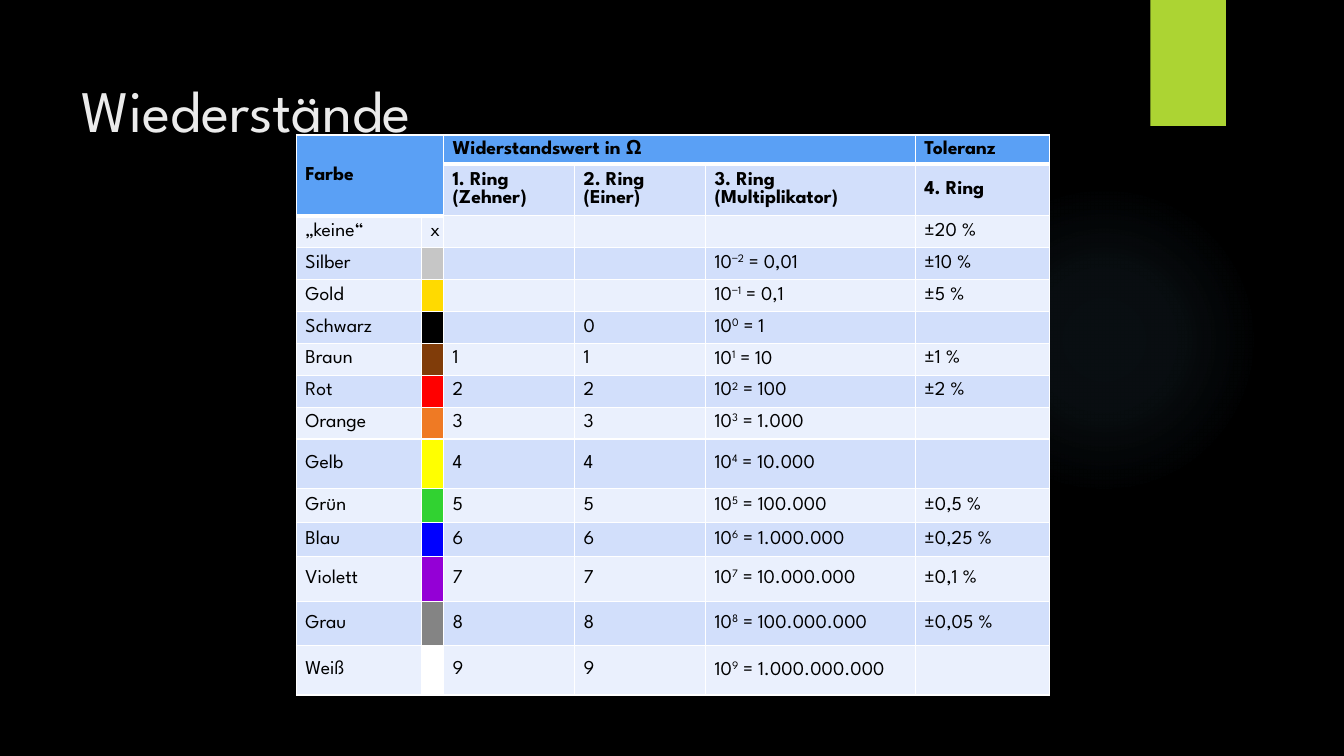
"""Build the slide with the colour code table for resistors."""
from lxml.etree import SubElement, fromstring
from pptx import Presentation
from pptx.dml.color import RGBColor
from pptx.enum.shapes import MSO_SHAPE
from pptx.enum.text import MSO_ANCHOR, PP_ALIGN
from pptx.oxml.ns import nsdecls, qn
from pptx.util import Inches, Pt

FONT = "League Spartan"
COLORS = {
    "background": "000000", "title": "EBEBEB", "accent": "ACD433",
    "glow": "7AC4F0", "text": "000000", "border": "FFFFFF",
    "header": "5AA0F5", "dark band": "D2DFFB", "light band": "EAF0FD",
    "Silber": "C6C6C6", "Gold": "FFDA00", "Schwarz": "000000",
    "Braun": "803C09", "Rot": "FF0000", "Orange": "EF7A24",
    "Gelb": "FFFF00", "Grün": "31D231", "Blau": "0000FF",
    "Violett": "9400D6", "Grau": "848484", "Weiß": "FFFFFF",
}
RINGS = [
    ("Silber", "10"), ("Gold", "5"), ("Schwarz", ""), ("Braun", "1"),
    ("Rot", "2"), ("Orange", ""), ("Gelb", ""), ("Grün", "0,5"),
    ("Blau", "0,25"), ("Violett", "0,1"), ("Grau", "0,05"), ("Weiß", ""),
]
COLUMN_WIDTHS = [1.24, 0.21, 1.3, 1.3, 2.08, 1.33]
ROW_HEIGHTS = [0.29, 0.51] + [0.29] * 7 + [0.49, 0.34, 0.34, 0.44, 0.44, 0.49]


def add_run(paragraph, text, size, color, bold=False):
    run = paragraph.add_run()
    run.text = text
    run.font.name = FONT
    run.font.size = Pt(size)
    run.font.bold = bold
    run.font.color.rgb = RGBColor.from_string(COLORS[color])
    return run


def fill_cell(cell, fill, parts, bold=False, edges=("lnL", "lnR", "lnB"), bottom=1):
    cell.margin_left = cell.margin_right = Inches(0.09)
    cell.margin_top = cell.margin_bottom = Inches(0.04)
    cell.vertical_anchor = MSO_ANCHOR.MIDDLE
    properties = cell._tc.get_or_add_tcPr()
    for edge in edges:
        width = Pt(bottom if edge == "lnB" else 1)
        properties.append(fromstring(
            f'<a:{edge} {nsdecls("a")} w="{width}"><a:solidFill>'
            f'<a:srgbClr val="{COLORS["border"]}"/></a:solidFill></a:{edge}>'))
    cell.fill.solid()
    cell.fill.fore_color.rgb = RGBColor.from_string(COLORS[fill])
    paragraph = cell.text_frame.paragraphs[0]
    for index, part in enumerate(parts):
        if part == "\n":
            paragraph.add_line_break()
            continue
        run = add_run(paragraph, part, 14, "text", bold)
        if len(parts) == 3 and index == 1:
            run._r.get_or_add_rPr().set("baseline", "30000")
    if not parts:
        SubElement(paragraph._p, qn("a:endParaRPr"), sz="1400")


prs = Presentation()
prs.slide_width, prs.slide_height = Inches(13.33), Inches(7.5)
slide = prs.slides.add_slide(prs.slide_layouts[5])
slide.background.fill.solid()
slide.background.fill.fore_color.rgb = RGBColor.from_string(COLORS["background"])

glow = slide.shapes.add_shape(
    MSO_SHAPE.OVAL, Inches(9.41), Inches(1.83), Inches(3.08), Inches(3.08))
glow.shadow.inherit = False
glow.line.fill.background()
stops = "".join(
    f'<a:gs pos="{position}000"><a:srgbClr val="{COLORS["glow"]}">'
    f'<a:alpha val="{alpha}000"/></a:srgbClr></a:gs>'
    for position, alpha in [(0, 7), (36, 6), (69, 0), (100, 0)])
glow._element.spPr.find(qn("a:prstGeom")).addnext(fromstring(
    f'<a:gradFill {nsdecls("a")} rotWithShape="1"><a:gsLst>{stops}</a:gsLst>'
    '<a:path path="circle"><a:fillToRect l="50000" t="50000" r="50000" b="50000"/>'
    '</a:path></a:gradFill>'))

accent = slide.shapes.add_shape(
    MSO_SHAPE.RECTANGLE, Inches(11.41), 0, Inches(0.75), Inches(1.25))
accent.shadow.inherit = False
accent.fill.solid()
accent.fill.fore_color.rgb = RGBColor.from_string(COLORS["accent"])
accent.line.fill.background()

title = slide.shapes.title
title.left, title.top = Inches(0.71), Inches(0.5)
title.width, title.height = Inches(10.29), Inches(1.53)
title.text_frame.vertical_anchor = MSO_ANCHOR.TOP
title.text_frame.margin_top = Inches(0.23)
title.text_frame.paragraphs[0].alignment = PP_ALIGN.LEFT
add_run(title.text_frame.paragraphs[0], "Wiederstände", 42, "title")

table = slide.shapes.add_table(
    len(ROW_HEIGHTS), len(COLUMN_WIDTHS), Inches(2.94), Inches(1.34),
    Inches(sum(COLUMN_WIDTHS)), Inches(sum(ROW_HEIGHTS))).table
table.first_row = table.horz_banding = False
for column, width in zip(table.columns, COLUMN_WIDTHS):
    column.width = Inches(width)
for row, height in zip(table.rows, ROW_HEIGHTS):
    row.height = Inches(height)
table.cell(0, 0).merge(table.cell(1, 1))
table.cell(0, 2).merge(table.cell(0, 4))

headings = [["Farbe"], [], ["Widerstandswert in Ω"], [], [], ["Toleranz"]]
ring_headings = [
    [], [], ["1. Ring", "\n", "(Zehner)"], ["2. Ring", "\n", "(Einer)"],
    ["3. Ring", "\n", "(Multiplikator)"], ["4. Ring"]]
for column, (heading, ring_heading) in enumerate(zip(headings, ring_headings)):
    fill_cell(table.cell(0, column), "header", heading, True,
              ("lnL", "lnR", "lnT", "lnB"), 3)
    in_color_heading = column < 2
    fill_cell(table.cell(1, column), "header" if in_color_heading else "dark band",
              ring_heading, True, bottom=3 if in_color_heading else 1)

body = [[["„keine“"], ["x"], [], [], [], ["±20 %"]]]
for exponent, (color, tolerance) in enumerate(RINGS, start=-2):
    if exponent < 0:
        factor = f"{10 ** exponent:.{-exponent}f}".replace(".", ",")
    else:
        factor = f"{10 ** exponent:,}".replace(",", ".")
    body.append([
        [color], [],
        [str(exponent)] if exponent > 0 else [],
        [str(exponent)] if exponent >= 0 else [],
        ["10", str(exponent).replace("-", "−"), f" = {factor}"],
        [f"±{tolerance} %"] if tolerance else []])

for row, cells in enumerate(body, start=2):
    band = "dark band" if row % 2 else "light band"
    for column, parts in enumerate(cells):
        is_swatch = column == 1 and row > 2
        fill_cell(table.cell(row, column), cells[0][0] if is_swatch else band, parts)
table.cell(2, 1).text_frame.paragraphs[0].alignment = PP_ALIGN.CENTER

prs.save("out.pptx")
